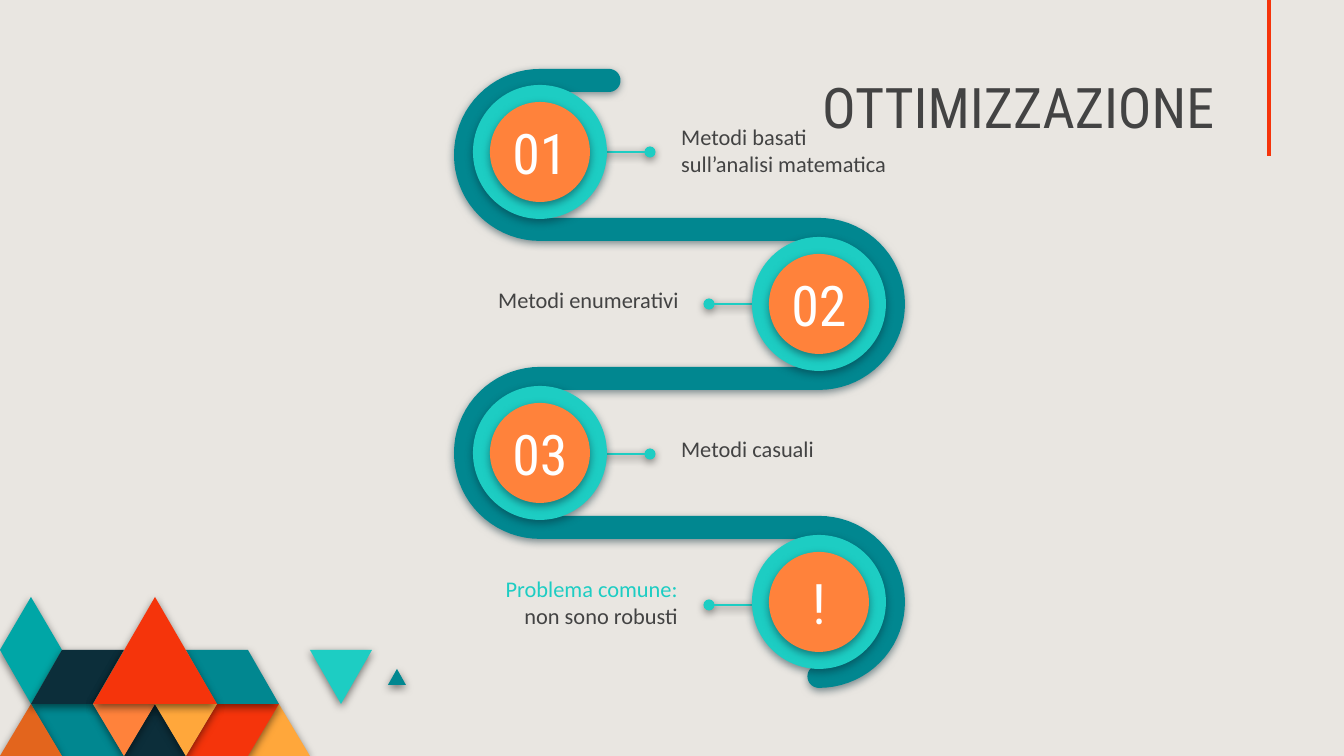
import math

import pptx
import pptx.dml.color
import pptx.enum.shapes
import pptx.enum.text
import pptx.oxml
import pptx.oxml.ns
import pptx.util

PX = 914400 / 134.4
W, H = 1344, 756

COLORS = {
    "bg": "E9E6E1", "text": "434343", "white": "FFFFFF", "black": "000000",
    "teal": "018790", "aqua": "1DCDC3", "sea": "00A6A6", "navy": "0C2E3A",
    "orange": "FF823B", "rust": "E3651D", "amber": "FFA73B", "red": "F5340B",
}
HEAD_FONT, BODY_FONT = "Roboto Condensed", "Calibri"
LEFT, RIGHT = pptx.enum.text.PP_ALIGN.LEFT, pptx.enum.text.PP_ALIGN.RIGHT
CENTER = pptx.enum.text.PP_ALIGN.CENTER
TOP, MIDDLE = pptx.enum.text.MSO_ANCHOR.TOP, pptx.enum.text.MSO_ANCHOR.MIDDLE
BOTTOM = pptx.enum.text.MSO_ANCHOR.BOTTOM

TITLE = "OTTIMIZZAZIONE"
# number, ring centre y, pointer y, label box, label runs
STEPS = [
    ("01", 152, 152, (668, 110, 248, 85),
     [("Metodi basati sull’analisi matematica", "text")]),
    ("02", 304, 304, (438, 273, 254, 56), [("Metodi enumerativi", "text")]),
    ("03", 453, 454, (668, 422, 292, 85), [("Metodi casuali", "text")]),
    ("!", 602, 605, (456, 562, 235, 85),
     [("Problema comune: ", "aqua"), ("non sono robusti", "text")]),
]
STEP_X = (540, 819)  # steps alternate left and right
RING, DISC = 134, 100

# Mosaic pieces as (column, row) corners on a triangular grid
COL = 31
ROWS = (597, 650, 704, 756)
MOSAIC = [
    ("amber", [(10, 3), (9, 2), (8, 3)]),
    ("red", [(9, 2), (7, 2), (6, 3), (8, 3)]),
    ("teal", [(4, 3), (3, 2), (1, 2), (2, 3)]),
    ("rust", [(2, 3), (1, 2), (0, 3)]),
    ("navy", [(6, 3), (5, 2), (4, 3)]),
    ("teal", [(9, 2), (8, 1), (6, 1), (7, 2)]),
    ("aqua", [(12, 1), (10, 1), (11, 2)]),
    ("sea", [(2, 1), (1, 0), (0, 1), (1, 2)]),
    ("navy", [(4, 1), (2, 1), (1, 2), (3, 2)]),
    ("sea", [(5, 2), (4, 1), (3, 2)]),
    ("orange", [(5, 2), (3, 2), (4, 3)]),
    ("amber", [(7, 2), (5, 2), (6, 3)]),
    ("red", [(7, 2), (5, 0), (3, 2)]),
]
SMALL_TRIANGLE = [(406, 685), (397, 669), (388, 685)]

# Ribbon: half-turns stacked so that each outer edge meets the next inner edge
OUTER, INNER = 86, 63
RIBBON_TOP, RIBBON_END_X = 69, 609


def px(n):
    return pptx.util.Emu(round(n * PX))


def rgb(name):
    return pptx.dml.color.RGBColor.from_string(COLORS[name])


def set_effects(sp, shadow=None):
    """Replace inherited effects by a soft shadow of a colour, or by none."""
    ns = pptx.oxml.ns.nsdecls("a")
    inner = "" if shadow is None else (
        '<a:outerShdw blurRad="57150" dist="19050" dir="5400000" algn="bl" rotWithShape="0">'
        f'<a:srgbClr val="{COLORS[shadow]}"><a:alpha val="50000"/></a:srgbClr></a:outerShdw>')
    sp._element.spPr.append(
        pptx.oxml.parse_xml(f"<a:effectLst {ns}>{inner}</a:effectLst>"))


def paint(sp, color, shadow):
    sp.fill.solid()
    sp.fill.fore_color.rgb = rgb(color)
    sp.line.fill.background()
    set_effects(sp, shadow)


def polygon(slide, points, color, shadow):
    pts = [(px(x), px(y)) for x, y in points]
    builder = slide.shapes.build_freeform(*pts[0])
    builder.add_line_segments(pts[1:], close=True)
    paint(builder.convert_to_shape(), color, shadow)


def disc(slide, cx, cy, d, color):
    sp = slide.shapes.add_shape(pptx.enum.shapes.MSO_SHAPE.OVAL,
                                px(cx - d / 2), px(cy - d / 2), px(d), px(d))
    paint(sp, color, "navy")


def line(slide, x1, y1, x2, y2, color, width, shadow=None, dot=False):
    cn = slide.shapes.add_connector(pptx.enum.shapes.MSO_CONNECTOR.STRAIGHT,
                                    px(x1), px(y1), px(x2), px(y2))
    cn.line.color.rgb = rgb(color)
    cn.line.width = pptx.util.Pt(width)
    if dot:
        ns = pptx.oxml.ns.nsdecls("a")
        cn.line._get_or_add_ln().append(
            pptx.oxml.parse_xml(f'<a:tailEnd {ns} type="oval" w="med" len="med"/>'))
    set_effects(cn, shadow)


def text(slide, box, runs, font, size, align, anchor):
    tf = slide.shapes.add_textbox(*map(px, box)).text_frame
    tf.word_wrap = True
    tf.vertical_anchor = anchor
    tf.margin_left = tf.margin_right = pptx.util.Inches(0.1)
    tf.margin_top = tf.margin_bottom = pptx.util.Inches(0.1)
    p = tf.paragraphs[0]
    p.alignment = align
    for words, color in runs:
        r = p.add_run()
        r.text = words
        r.font.name = font
        r.font.size = pptx.util.Pt(size)
        r.font.color.rgb = rgb(color)


def arc(cx, cy, radius, start, end, steps=36):
    """Points on an arc; degrees grow clockwise from the right."""
    angles = [math.radians(start + (end - start) * i / steps) for i in range(steps + 1)]
    return [(cx + radius * math.cos(a), cy + radius * math.sin(a)) for a in angles]


def ribbon_outline():
    left, right = STEP_X
    cap = (OUTER - INNER) / 2
    turns = [RIBBON_TOP + OUTER + i * (OUTER + INNER) for i in range(len(STEPS))]
    points = []
    for i, cy in enumerate(turns):
        points += arc(right, cy, INNER, -90, 90) if i % 2 else arc(left, cy, OUTER, 270, 90)
    points += arc(right, turns[-1] + INNER + cap, cap, 270, 90)
    for i, cy in reversed(list(enumerate(turns))):
        points += arc(right, cy, OUTER, 90, -90) if i % 2 else arc(left, cy, INNER, 90, 270)
    return points + arc(RIBBON_END_X, RIBBON_TOP + cap, cap, 90, -90)


def main():
    prs = pptx.Presentation()
    prs.slide_width, prs.slide_height = px(W), px(H)
    slide = prs.slides.add_slide(prs.slide_layouts[6])
    slide.background.fill.solid()
    slide.background.fill.fore_color.rgb = rgb("bg")

    for color, corners in MOSAIC:
        polygon(slide, [(c * COL, ROWS[r]) for c, r in corners], color, "black")
    polygon(slide, SMALL_TRIANGLE, "teal", "black")
    line(slide, 1269, 0, 1269, 156, "red", 2.25)
    text(slide, (672, 68, 556, 85), [(TITLE, "text")], HEAD_FONT, 30, RIGHT, BOTTOM)

    for i, (_, _, y, _, _) in enumerate(STEPS):
        x, way = STEP_X[i % 2], (1, -1)[i % 2]
        line(slide, x + way * 45, y, x + way * 110, y, "aqua", 1.5, "black", dot=True)
    polygon(slide, ribbon_outline(), "teal", "navy")
    for i, (number, y, _, box, runs) in enumerate(STEPS):
        x = STEP_X[i % 2]
        disc(slide, x, y, RING, "aqua")
        disc(slide, x, y, DISC, "orange")
        text(slide, (x - 44, y - 42, 88, 84), [(number, "white")],
             HEAD_FONT, 30, CENTER, MIDDLE)
        text(slide, box, runs, BODY_FONT, 12, (LEFT, RIGHT)[i % 2], TOP)

    prs.save("out.pptx")


if __name__ == "__main__":
    main()
